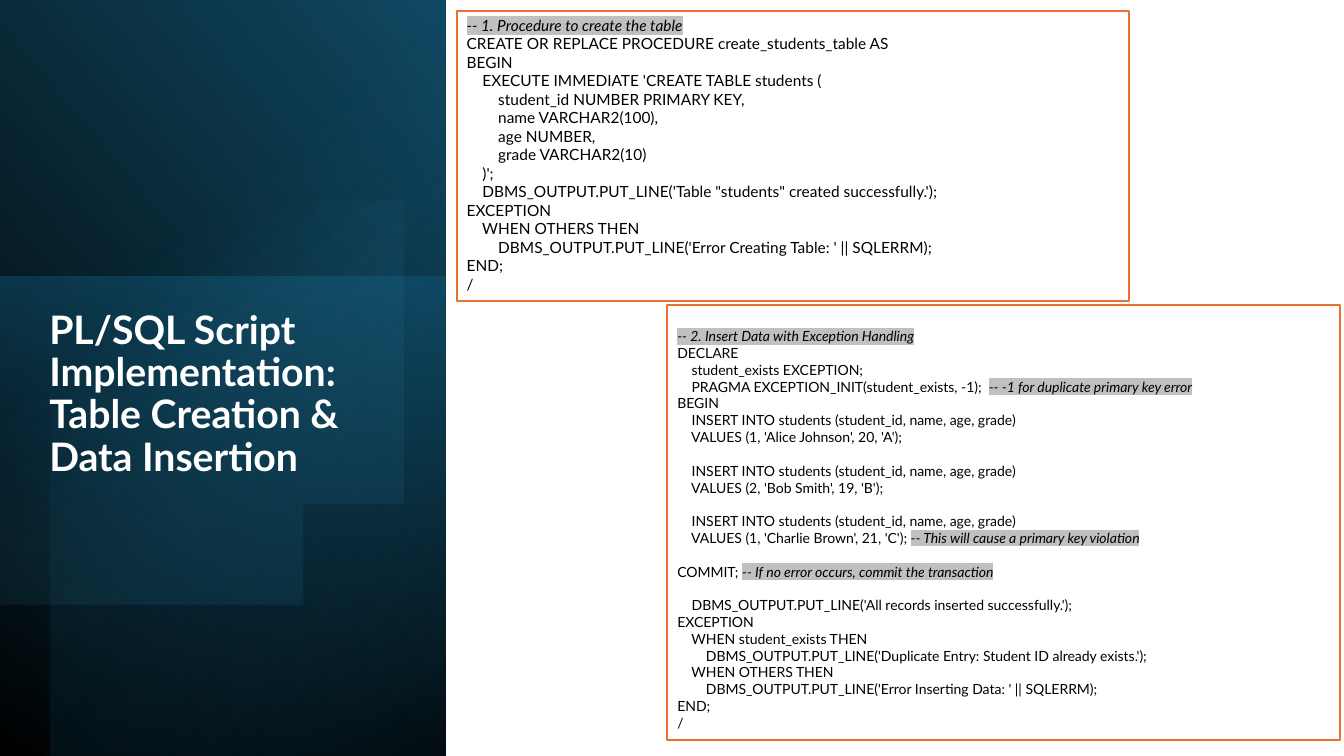
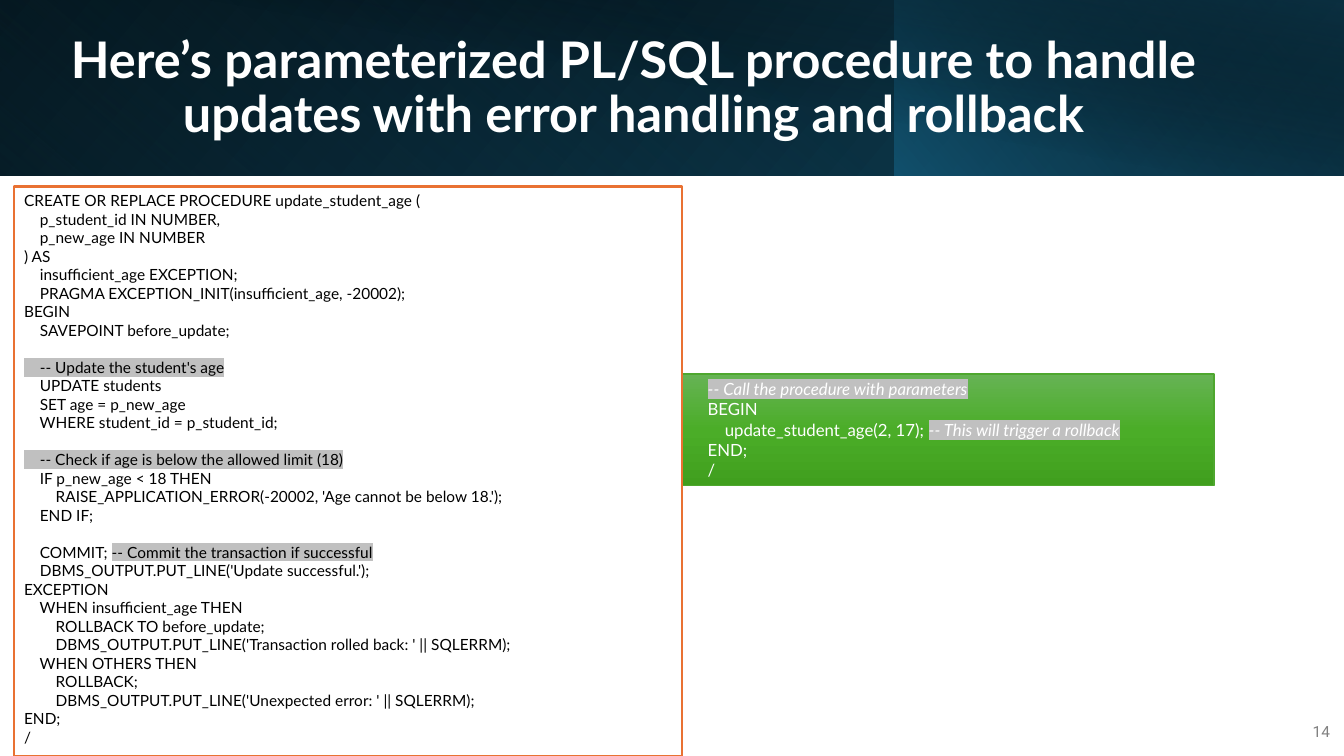
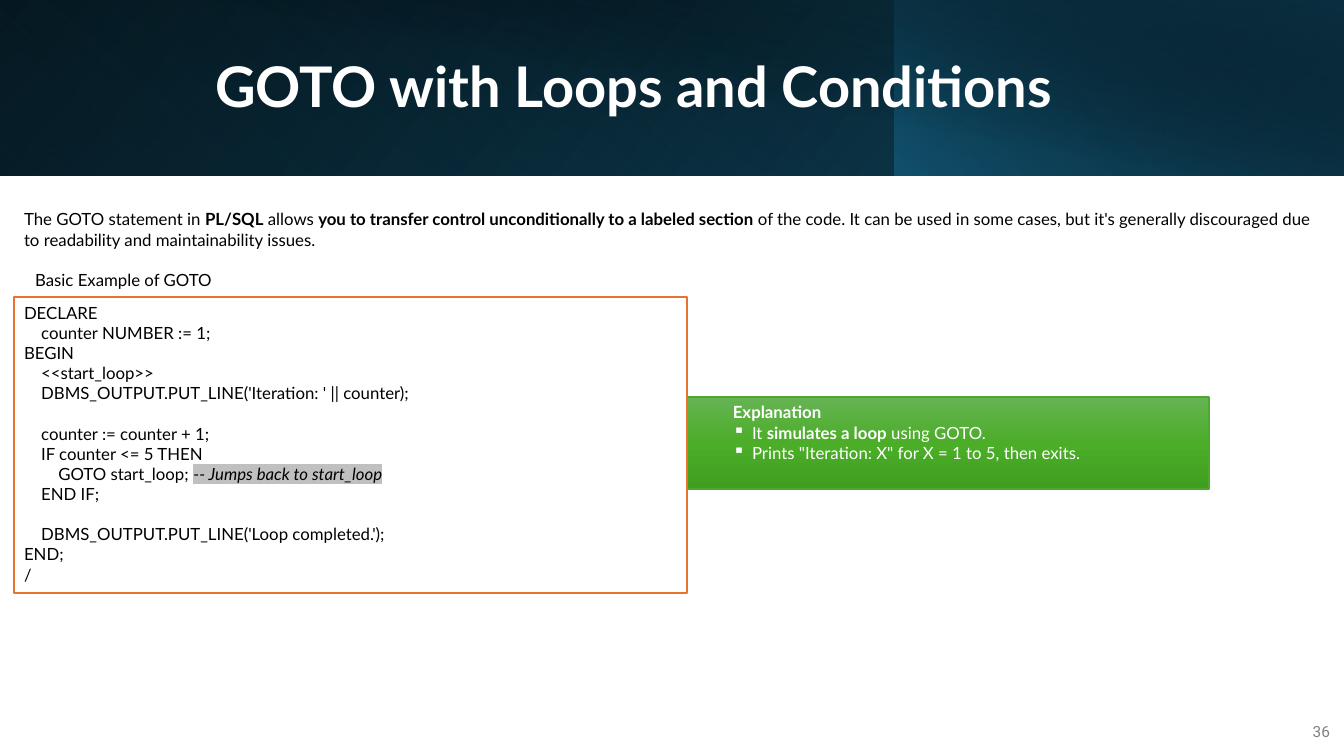
from math import cos, radians, sin

from pptx import Presentation
from pptx.dml.color import RGBColor
from pptx.enum.shapes import MSO_SHAPE
from pptx.enum.text import MSO_ANCHOR, PP_ALIGN
from pptx.oxml import parse_xml
from pptx.oxml.ns import nsdecls, qn
from pptx.util import Inches, Pt

W, H = 13.33, 7.5
WHITE, BLACK, GREY, ORANGE = "FFFFFF", "000000", "808080", "E97132"
NAVY, TEAL, DEEP, SKY = "104862", "156082", "0B3041", "46B1E1"
GREEN, HIGHLIGHT = "4EA72E", "C0C0C0"
GREEN_STOPS = [(0, "66B354"), (50, "4BAD28"), (100, "409F1E")]
LINE_HEIGHT = 1.2  # of the font size, for Lato
SIDE_W, BAND_H = 4.42, 1.74

CREATE_TABLE = """
-- 1. Procedure to create the table
CREATE OR REPLACE PROCEDURE create_students_table AS
BEGIN
    EXECUTE IMMEDIATE 'CREATE TABLE students (
        student_id NUMBER PRIMARY KEY,
        name VARCHAR2(100),
        age NUMBER,
        grade VARCHAR2(10)
    )';
    DBMS_OUTPUT.PUT_LINE('Table "students" created successfully.');
EXCEPTION
    WHEN OTHERS THEN
        DBMS_OUTPUT.PUT_LINE('Error Creating Table: ' || SQLERRM);
END;
/
"""

INSERT_ROWS = """
-- 2. Insert Data with Exception Handling
DECLARE
    student_exists EXCEPTION;
    PRAGMA EXCEPTION_INIT(student_exists, -1);  -- -1 for duplicate primary key error
BEGIN
    INSERT INTO students (student_id, name, age, grade)
    VALUES (1, 'Alice Johnson', 20, 'A');

    INSERT INTO students (student_id, name, age, grade)
    VALUES (2, 'Bob Smith', 19, 'B');

    INSERT INTO students (student_id, name, age, grade)
    VALUES (1, 'Charlie Brown', 21, 'C'); -- This will cause a primary key violation

COMMIT; -- If no error occurs, commit the transaction
"""

INSERT_HANDLER = """
    DBMS_OUTPUT.PUT_LINE('All records inserted successfully.');
EXCEPTION
    WHEN student_exists THEN
        DBMS_OUTPUT.PUT_LINE('Duplicate Entry: Student ID already exists.');
    WHEN OTHERS THEN
        DBMS_OUTPUT.PUT_LINE('Error Inserting Data: ' || SQLERRM);
END;
/
"""

UPDATE_AGE = """
CREATE OR REPLACE PROCEDURE update_student_age (
    p_student_id IN NUMBER,
    p_new_age IN NUMBER
) AS
    insufficient_age EXCEPTION;
    PRAGMA EXCEPTION_INIT(insufficient_age, -20002);
BEGIN
    SAVEPOINT before_update;

    -- Update the student's age
    UPDATE students
    SET age = p_new_age
    WHERE student_id = p_student_id;

    -- Check if age is below the allowed limit (18)
    IF p_new_age < 18 THEN
        RAISE_APPLICATION_ERROR(-20002, 'Age cannot be below 18.');
    END IF;
"""

UPDATE_HANDLER = """
    COMMIT; -- Commit the transaction if successful
    DBMS_OUTPUT.PUT_LINE('Update successful.');
EXCEPTION
    WHEN insufficient_age THEN
        ROLLBACK TO before_update;
        DBMS_OUTPUT.PUT_LINE('Transaction rolled back: ' || SQLERRM);
    WHEN OTHERS THEN
        ROLLBACK;
        DBMS_OUTPUT.PUT_LINE('Unexpected error: ' || SQLERRM);
END;
/
"""

CALL_UPDATE = """
-- Call the procedure with parameters
BEGIN
    update_student_age(2, 17); -- This will trigger a rollback
END;
/
"""

GOTO_LOOP = """
DECLARE
    counter NUMBER := 1;
BEGIN
    <<start_loop>>
    DBMS_OUTPUT.PUT_LINE('Iteration: ' || counter);

    counter := counter + 1;
    IF counter <= 5 THEN
        GOTO start_loop; -- Jumps back to start_loop
    END IF;

    DBMS_OUTPUT.PUT_LINE('Loop completed.');
END;
/
"""


def rgb(hex_code):
    return RGBColor.from_string(hex_code)


def fill_gradient(sp, stops, angle):
    """Stops are (position, colour) or (position, colour, opacity), in percent."""
    gs = ""
    for pos, color, *opacity in stops:
        alpha = "".join(f'<a:alpha val="{a * 1000}"/>' for a in opacity)
        gs += f'<a:gs pos="{pos * 1000}"><a:srgbClr val="{color}">{alpha}</a:srgbClr></a:gs>'
    sp._element.spPr.insert(2, parse_xml(
        f'<a:gradFill {nsdecls("a")} rotWithShape="1"><a:gsLst>{gs}</a:gsLst>'
        f'<a:lin ang="{angle * 60000}" scaled="0"/></a:gradFill>'))


def add_rect(s, box, line=None, width=1):
    sp = s.shapes.add_shape(MSO_SHAPE.RECTANGLE, *map(Inches, box))
    sp.shadow.inherit = False
    if line:
        sp.line.color.rgb, sp.line.width = rgb(line), Pt(width)
    else:
        sp.line.fill.background()
    return sp


def add_glow(s, box, stops, angle, rot=0, flip=False):
    """Gradient rectangle that covers box once it has been turned."""
    x, y, w, h = box
    if rot % 180:
        x, y, w, h = x + (w - h) / 2, y + (h - w) / 2, h, w
    sp = add_rect(s, (x, y, w, h))
    sp.rotation = rot
    if flip:
        sp._element.spPr.xfrm.set("flipH", "1")
    fill_gradient(sp, stops, angle)


def add_run(p, text, size, color=BLACK, font="Lato", highlight=None, **fmt):
    r = p.add_run()
    r.text = text
    r.font.color.rgb = rgb(color)
    for key, value in {"name": font, "size": Pt(size), **fmt}.items():
        setattr(r.font, key, value)
    if highlight:
        r._r.rPr.find(qn("a:solidFill")).addnext(parse_xml(
            f'<a:highlight {nsdecls("a")}><a:srgbClr val="{highlight}"/></a:highlight>'))


def add_marked_runs(p, text, **fmt):
    """Text between double asterisks is bold."""
    for i, part in enumerate(text.split("**")):
        if part:
            add_run(p, part, bold=i % 2 == 1, **fmt)


def next_paragraph(tf, i, indent=0, hanging=0, bullet=None):
    p = tf.add_paragraph() if i else tf.paragraphs[0]
    p.alignment = PP_ALIGN.LEFT
    pPr = p._p.get_or_add_pPr()
    pPr.set("marL", str(Inches(indent + hanging)))
    pPr.set("indent", str(-Inches(hanging)))
    if bullet:
        pPr.append(parse_xml(f'<a:buChar {nsdecls("a")} char="{bullet}"/>'))
    return p


def write_code(sp, code, size, color=BLACK, italic=True, indent=0, top=0.05):
    """Highlights the comments; an empty line becomes space before the next one."""
    tf = sp.text_frame
    tf.word_wrap, tf.vertical_anchor, tf.margin_top = True, MSO_ANCHOR.TOP, Inches(top)
    gap = count = 0
    for line in code.strip("\n").split("\n"):
        if not line:
            gap += size * LINE_HEIGHT
            continue
        p = next_paragraph(tf, count, indent)
        if gap:
            p.space_before = Pt(gap)
        gap, count = 0, count + 1
        statement, dashes, comment = line.partition("--")
        if dashes and not statement.strip():
            statement, dashes = "", statement + dashes
        if statement:
            add_run(p, statement, size, color)
        if dashes:
            add_run(p, dashes + comment, size, color, highlight=HIGHLIGHT, italic=italic)


def add_code_panel(s, box, code, size, **options):
    sp = add_rect(s, box, ORANGE, 1.5)
    sp.fill.solid()
    sp.fill.fore_color.rgb = rgb(WHITE)
    write_code(sp, code, size, **options)


def add_green_panel(s, box):
    sp = add_rect(s, box, GREEN)
    fill_gradient(sp, GREEN_STOPS, 90)
    return sp


def add_explanation(s, box, heading, points):
    tf = add_green_panel(s, box).text_frame
    tf.word_wrap, tf.vertical_anchor = True, MSO_ANCHOR.TOP
    add_run(next_paragraph(tf, 0, 1.5), heading, 12, WHITE, bold=True)
    for i, point in enumerate(points, 1):
        p = next_paragraph(tf, i, 1.5, 0.19, "▪")
        add_marked_runs(p, point, size=12, color=WHITE)


def add_text(s, box, text, anchor=MSO_ANCHOR.MIDDLE, align=PP_ALIGN.LEFT,
             spacing=None, wrap=True, **fmt):
    tf = s.shapes.add_textbox(*map(Inches, box)).text_frame
    tf.word_wrap, tf.vertical_anchor = wrap, anchor
    p = tf.paragraphs[0]
    p.alignment, p.line_spacing = align, spacing
    add_marked_runs(p, text, **fmt)


def add_title(s, box, text, size, **options):
    add_text(s, box, f"**{text}**", size=size, color=WHITE, spacing=0.9, **options)


def add_disc(s, cx, cy, radius):
    """Disc cut off by the left edge of the slide."""
    cut = 123
    points = [(cx + radius * cos(radians(a)), cy + radius * sin(radians(a)))
              for a in range(-cut, cut + 1, 3)]
    points = [(max(x, 0), y) for x, y in points]
    fb = s.shapes.build_freeform(*points[0], scale=Inches(1))
    fb.add_line_segments(points[1:], close=True)
    sp = fb.convert_to_shape()
    sp.shadow.inherit = False
    sp.line.fill.background()
    fill_gradient(sp, [(39, SKY, 0), (100, NAVY, 26)], 52)


def add_side_panel(s, title):
    add_glow(s, (0, 0, SIDE_W, H), [(0, BLACK), (100, NAVY)], 310, 90, True)
    add_glow(s, (0, 2.74, SIDE_W, H - 2.74), [(0, TEAL, 50), (100, DEEP, 0)], 190, 270)
    add_glow(s, (0.5, 0, SIDE_W - 0.5, H), [(0, BLACK, 59), (69, TEAL, 0)], 220, 270, True)
    add_disc(s, 1.43, 3.47, 2.63)
    add_title(s, (0.39, 3.03, 3.61, 3.36), title, 28, anchor=MSO_ANCHOR.TOP)


def add_title_band(s, title, size, number):
    split = 8.87
    add_glow(s, (0, 0, W, BAND_H), [(0, BLACK), (100, NAVY)], 140, flip=True)
    add_glow(s, (0, 0, split, BAND_H), [(20, TEAL, 0), (100, DEEP, 55)], 230, 180, True)
    add_glow(s, (split, 0, W - split, BAND_H), [(0, TEAL, 66), (100, BLACK, 30)], 220, flip=True)
    add_glow(s, (0.5, 0, W - 0.5, BAND_H), [(50, BLACK, 0), (99, DEEP, 52)], 280)
    add_title(s, (0.25, 0.32, 12.07, 1.13), title, size, align=PP_ALIGN.CENTER)
    add_text(s, (12.8, 7.06, 0.49, 0.4), number, align=PP_ALIGN.RIGHT,
             size=11, color=GREY, font="Roboto")


def build_script_slide(s):
    add_side_panel(s, "PL/SQL Script Implementation: Table Creation & Data Insertion")
    add_code_panel(s, (4.53, 0.11, 6.67, 2.88), CREATE_TABLE, 11)
    add_code_panel(s, (6.62, 3.03, 6.67, 4.31), INSERT_ROWS + INSERT_HANDLER, 10, top=0.22)


def build_update_slide(s):
    add_title_band(s, "Here’s parameterized PL/SQL procedure to handle updates "
                      "with error handling and rollback", 36, "14")
    call = add_green_panel(s, (5.42, 3.71, 6.62, 1.11))
    write_code(call, CALL_UPDATE, 12, WHITE, indent=1.5)
    add_code_panel(s, (0.14, 1.85, 6.62, 5.65), UPDATE_AGE + UPDATE_HANDLER, 11, italic=False)


def build_goto_slide(s):
    add_title_band(s, "GOTO with Loops and Conditions", 40, "36")
    add_text(s, (0.14, 2.02, 13.08, 0.51),
             "The GOTO statement in **PL/SQL** allows **you to transfer control "
             "unconditionally to a labeled section **of the code. It can be used in some "
             "cases, but it's generally discouraged due to readability and "
             "maintainability issues.", size=12)
    add_text(s, (0.25, 2.63, 2.01, 0.3), "Basic Example of GOTO", wrap=False, size=12)
    add_explanation(s, (5.67, 3.94, 6.32, 0.91), "Explanation",
                    ["It **simulates a loop** using GOTO.",
                     'Prints "Iteration: X" for X = 1 to 5, then exits.'])
    add_code_panel(s, (0.14, 2.95, 6.67, 2.93), GOTO_LOOP, 12)


def main():
    prs = Presentation()
    prs.slide_width, prs.slide_height = Inches(W), Inches(H)
    for build in (build_script_slide, build_update_slide, build_goto_slide):
        build(prs.slides.add_slide(prs.slide_layouts[6]))
    prs.save("out.pptx")


if __name__ == "__main__":
    main()
